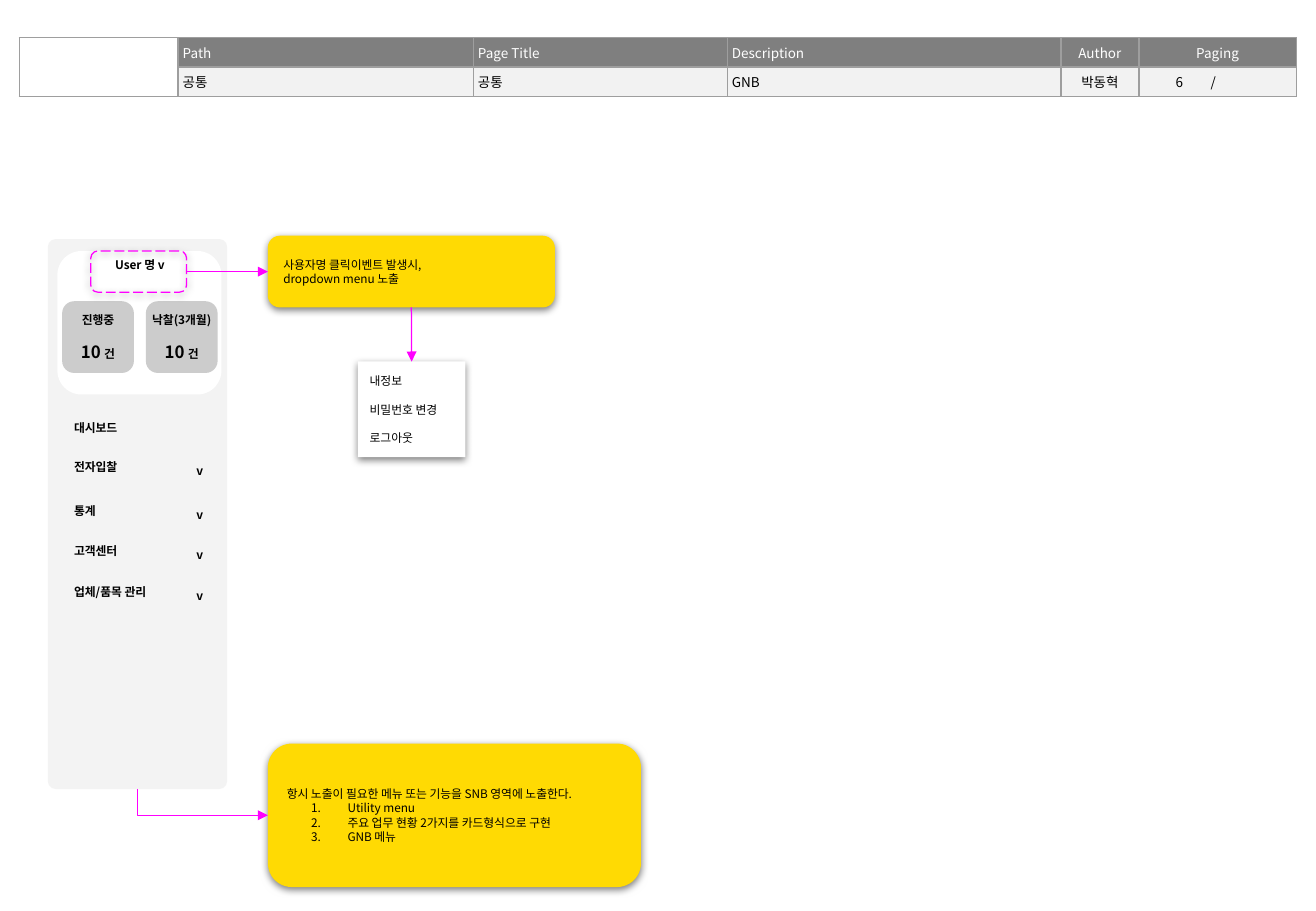
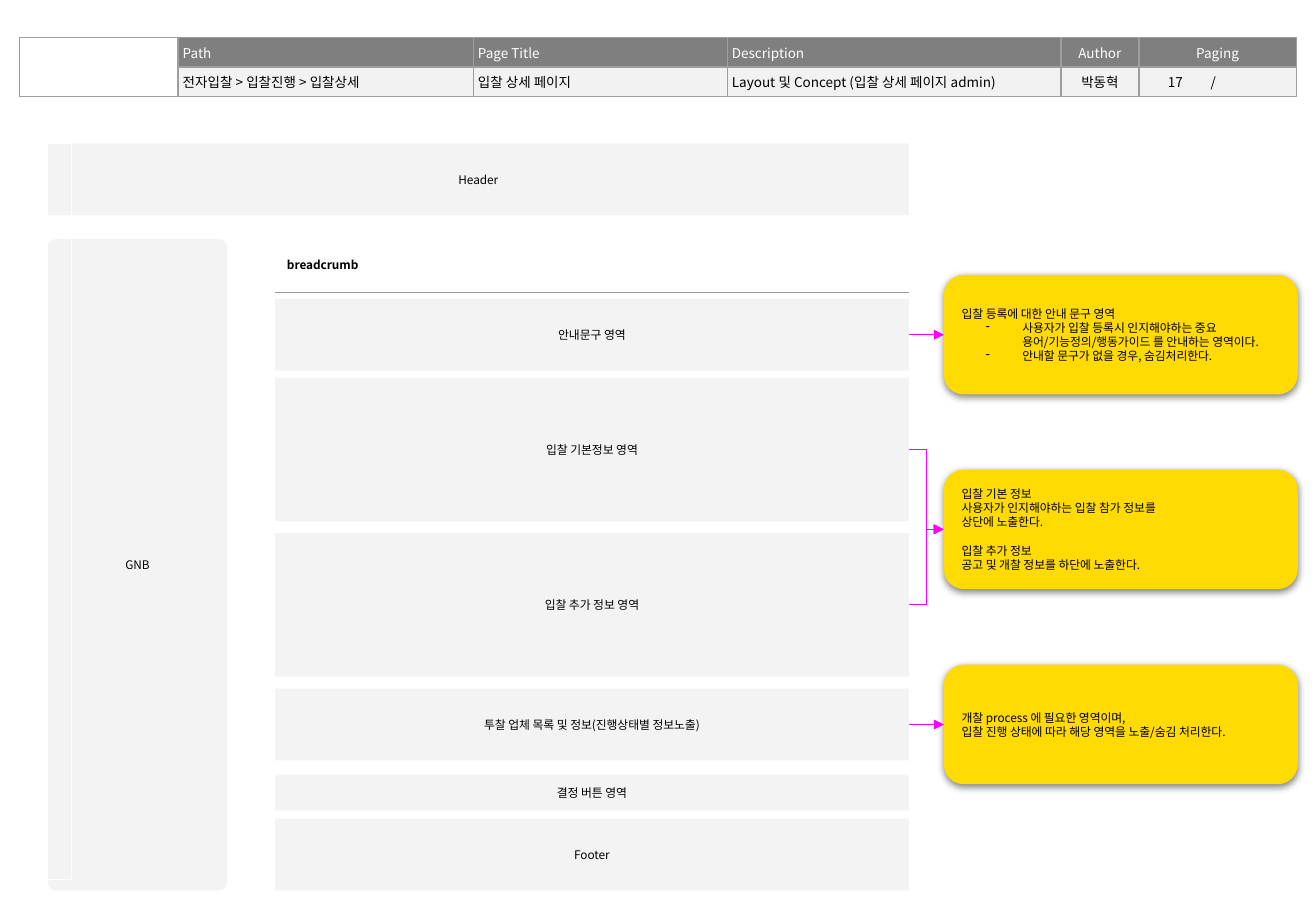
from collections import namedtuple

from lxml.etree import SubElement
from pptx import Presentation
from pptx.dml.color import RGBColor
from pptx.enum.dml import MSO_LINE
from pptx.enum.shapes import MSO_CONNECTOR, MSO_SHAPE
from pptx.enum.text import MSO_ANCHOR, PP_ALIGN
from pptx.oxml.ns import qn
from pptx.util import Cm, Pt

BLACK = RGBColor(0x00, 0x00, 0x00)
WHITE = RGBColor(0xFF, 0xFF, 0xFF)
PANEL = RGBColor(0xF3, 0xF3, 0xF3)
CARD = RGBColor(0xCC, 0xCC, 0xCC)
YELLOW = RGBColor(0xFF, 0xDA, 0x03)
MAGENTA = RGBColor(0xFF, 0x00, 0xFF)
RULE = RGBColor(0x99, 0x99, 0x99)
HEAD_FILL = RGBColor(0x7F, 0x7F, 0x7F)
BODY_FILL = RGBColor(0xF2, 0xF2, 0xF2)
BORDER = RGBColor(0x9E, 0x9E, 0x9E)

TOP, LEFT, BOTTOM, RIGHT = range(4)
SIDEBAR_CORNER, CORNER = 0.044, 0.167
COLUMN_WIDTHS = (3.32, 6.17, 5.31, 6.98, 1.63, 1.02, 1.07, 1.2)
HEADINGS = ("", "Path", "Page Title", "Description", "Author", "Paging", "", "")

Line = namedtuple("Line", "text bullet before", defaults=(None, 0))


class Storyboard:
    """Holds the shared style and the slide being drawn."""

    font_name = "Noto Sans CJK KR"
    text_size = 7
    table_size = 8

    def __init__(self):
        """Open an empty presentation."""
        self.presentation = Presentation()
        self.presentation.slide_width = Cm(27.51)
        self.presentation.slide_height = Cm(19.05)
        self.slide = None

    def new_slide(self, page_path, title, description, number):
        """Start a slide with its information table."""
        self.slide = self.presentation.slides.add_slide(self.presentation.slide_layouts[6])
        self.header_table(("", page_path, title, description, "박동혁", number, "/", ""))

    def format_run(self, run, size, color=BLACK, bold=False):
        """Apply the shared font to a run."""
        font = run.font
        font.name, font.size, font.bold = self.font_name, Pt(size), bold
        font.color.rgb = color
        SubElement(run.font._element, qn("a:ea"), typeface=self.font_name)

    def set_lines(self, shape, lines, align=PP_ALIGN.LEFT, bold=False,
                  anchor=MSO_ANCHOR.MIDDLE, inset=0.25, hanging=False):
        """Fill a shape with paragraphs."""
        frame = shape.text_frame
        frame.word_wrap = True
        frame.vertical_anchor = anchor
        frame.margin_left = frame.margin_right = Cm(inset)
        frame.margin_top = frame.margin_bottom = Cm(inset)
        for index, item in enumerate(lines):
            line = Line(item) if isinstance(item, str) else item
            paragraph = frame.add_paragraph() if index else frame.paragraphs[0]
            paragraph.text = line.text
            paragraph.alignment = align
            if line.bullet:
                self.bullet(paragraph, line.bullet)
            elif hanging:
                self.indent(paragraph, 0.25, -0.25)
            if line.before:
                paragraph.space_before = Pt(line.before)
            for run in paragraph.runs:
                self.format_run(run, self.text_size, bold=bold)

    def indent(self, paragraph, margin, first):
        """Set the margin and first-line indent of a paragraph."""
        properties = paragraph._p.get_or_add_pPr()
        properties.set("marL", str(Cm(margin)))
        properties.set("indent", str(Cm(first)))
        return properties

    def bullet(self, paragraph, mark):
        """Give a paragraph a number or a character bullet."""
        properties = self.indent(paragraph, 1.27, -0.76)
        color = SubElement(properties, qn("a:buClr"))
        SubElement(color, qn("a:srgbClr"), val=str(BLACK))
        if mark == "1.":
            SubElement(properties, qn("a:buAutoNum"), type="arabicPeriod")
        else:
            SubElement(properties, qn("a:buChar"), char=mark)

    def box(self, left, top, width, height, fill=None, corner=0, line=None):
        """Add a rectangle, rounded when a corner is given."""
        kind = MSO_SHAPE.ROUNDED_RECTANGLE if corner else MSO_SHAPE.RECTANGLE
        shape = self.slide.shapes.add_shape(kind, Cm(left), Cm(top), Cm(width), Cm(height))
        shape.shadow.inherit = False
        if corner:
            shape.adjustments[0] = corner
        if fill is None:
            shape.fill.background()
        else:
            shape.fill.solid()
            shape.fill.fore_color.rgb = fill
        if line is None:
            shape.line.fill.background()
        else:
            shape.line.color.rgb = line
            shape.line.width = Pt(0.75)
        return shape

    def cast_shadow(self, shape):
        """Add the soft shadow below a shape."""
        effects = shape._element.spPr.find(qn("a:effectLst"))
        shadow = SubElement(effects, qn("a:outerShdw"), blurRad=str(Pt(4.5)),
                            dist=str(Pt(1.5)), dir="5400000", algn="bl", rotWithShape="0")
        color = SubElement(shadow, qn("a:srgbClr"), val=str(BLACK))
        SubElement(color, qn("a:alpha"), val="50000")

    def panel(self, left, top, width, height, text, corner=0):
        """Add a grey page area with a centred name."""
        shape = self.box(left, top, width, height, PANEL, corner)
        self.set_lines(shape, [text], PP_ALIGN.CENTER)
        return shape

    def callout(self, left, top, width, height, lines, fill=YELLOW, corner=CORNER):
        """Add a raised note."""
        shape = self.box(left, top, width, height, fill, corner)
        self.cast_shadow(shape)
        self.set_lines(shape, lines)
        return shape

    def label(self, left, top, width, text, align=PP_ALIGN.LEFT, anchor=MSO_ANCHOR.TOP):
        """Add a bold one-line text box."""
        shape = self.slide.shapes.add_textbox(Cm(left), Cm(top), Cm(width), Cm(0.75))
        self.set_lines(shape, [text], align, True, anchor, hanging=True)

    def count_card(self, left, name, count):
        """Add a grey card with a name and a count."""
        shape = self.box(left, 6.3, 1.5, 1.5, CARD, CORNER)
        self.set_lines(shape, [name, Line(count, before=8.5)], PP_ALIGN.CENTER, True,
                       inset=0, hanging=True)
        paragraph = shape.text_frame.paragraphs[-1]
        paragraph.runs[0].font.size = Pt(10)
        for text, size in ((" ", 9), ("건", self.text_size)):
            run = paragraph.add_run()
            run.text = text
            self.format_run(run, size, bold=True)

    def connector(self, kind, color, ends=(0, 0, 0, 0)):
        """Add a connector without a shadow."""
        line = self.slide.shapes.add_connector(kind, *(Cm(value) for value in ends))
        line.line.color.rgb = color
        line.line.width = Pt(0.75)
        SubElement(line._element.spPr, qn("a:effectLst"))
        return line

    def arrow(self, source, source_side, target, target_side, kind=MSO_CONNECTOR.STRAIGHT):
        """Join two shapes with an arrow."""
        line = self.connector(kind, MAGENTA)
        line.begin_connect(source, source_side)
        line.end_connect(target, target_side)
        SubElement(line.line._get_or_add_ln(), qn("a:tailEnd"), type="triangle")

    def corner_arrow(self, target, target_side, source, source_side):
        """Join two shapes with a one-bend arrow that points at the target."""
        line = self.connector(MSO_CONNECTOR.ELBOW, MAGENTA)
        line._element.spPr.find(qn("a:prstGeom")).set("prst", "bentConnector2")
        line.begin_connect(target, target_side)
        line.end_connect(source, source_side)
        SubElement(line.line._get_or_add_ln(), qn("a:headEnd"), type="triangle")

    def cell_borders(self, cell, sides):
        """Draw the given borders of a cell and clear the others."""
        properties = cell._tc.get_or_add_tcPr()
        for index, side in enumerate("LRTB"):
            border = properties.makeelement(qn(f"a:ln{side}"), {"w": str(Pt(0.75))})
            properties.insert(index, border)
            if side in sides:
                fill = SubElement(border, qn("a:solidFill"))
                SubElement(fill, qn("a:srgbClr"), val=str(BORDER))
            else:
                SubElement(border, qn("a:noFill"))

    def header_table(self, values):
        """Add the page information table."""
        frame = self.slide.shapes.add_table(2, len(values), Cm(0.4), Cm(0.79),
                                            Cm(sum(COLUMN_WIDTHS)), Cm(1.2))
        table = frame.table
        table.first_row = table.horz_banding = False
        for column, width in zip(table.columns, COLUMN_WIDTHS):
            column.width = Cm(width)
        table.cell(0, 0).merge(table.cell(1, 0))
        table.cell(0, 5).merge(table.cell(0, 7))
        styles = ((HEADINGS, HEAD_FILL, WHITE), (values, BODY_FILL, BLACK))
        for row, (texts, fill, color) in enumerate(styles):
            table.rows[row].height = Cm(0.6)
            for column, text in enumerate(texts):
                self.table_cell(table.cell(row, column), row, column, text, fill, color)

    def table_cell(self, cell, row, column, text, fill, color):
        """Fill and style one cell of the information table."""
        cell.vertical_anchor = MSO_ANCHOR.MIDDLE
        cell.margin_left = cell.margin_right = Cm(0.05 if column == 6 else 0.1)
        cell.margin_top = cell.margin_bottom = Cm(0.1)
        paragraph = cell.text_frame.paragraphs[0]
        if text:
            paragraph.text = text
            self.format_run(paragraph.runs[0], self.table_size, color)
        else:
            SubElement(paragraph._p, qn("a:endParaRPr"), sz=str(self.table_size * 100))
        if column >= 4:
            paragraph.alignment = PP_ALIGN.RIGHT if (row, column) == (1, 5) else PP_ALIGN.CENTER
        if column:
            cell.fill.solid()
            cell.fill.fore_color.rgb = fill
        else:
            cell.fill.background()
        page_sides = {5: "LTB", 6: "TB", 7: "RTB"}
        self.cell_borders(cell, page_sides.get(column, "LRTB") if row else "LRTB")


def draw_navigation(board):
    """Draw the side navigation slide."""
    board.new_slide("공통", "공통", "GNB", "6")
    sidebar = board.box(1, 5, 3.75, 11.5, PANEL, SIDEBAR_CORNER)
    board.box(1.2, 5.25, 3.43, 3, WHITE, CORNER)
    menu = (("대시보드", 8.64), ("전자입찰", 9.47), ("통계", 10.39),
            ("고객센터", 11.23), ("업체/품목 관리", 12.08))
    for index, (name, top) in enumerate(menu):
        board.label(1.3, top, 3.25, name)
        if index:
            board.label(3.8, top, 0.75, "v", PP_ALIGN.CENTER, MSO_ANCHOR.MIDDLE)
    board.label(1.3, 5.25, 3.25, "User 명 v", PP_ALIGN.CENTER)
    board.count_card(1.3, "진행중", "10")
    board.count_card(3.05, "낙찰(3개월)", "10")
    sidebar_note = board.callout(5.6, 15.55, 7.8, 3, [
        "항시 노출이 필요한 메뉴 또는 기능을 SNB 영역에 노출한다.",
        Line("Utility menu", "1."),
        Line("주요 업무 현황 2가지를 카드형식으로 구현", "1."),
        Line("GNB 메뉴", "1.")])
    dropdown = board.callout(7.48, 7.56, 2.25, 2, [
        "내정보", Line("비밀번호 변경", before=8.5), Line("로그아웃", before=8.5)], WHITE, 0)
    user_frame = board.box(1.9, 5.25, 2, 0.86, corner=CORNER, line=MAGENTA)
    user_frame.line.dash_style = MSO_LINE.LONG_DASH
    board.cast_shadow(user_frame)
    user_note = board.callout(5.6, 4.93, 6, 1.5, [
        "사용자명 클릭이벤트 발생시,", "dropdown menu 노출"])
    board.arrow(user_frame, RIGHT, user_note, LEFT)
    board.arrow(user_note, BOTTOM, dropdown, TOP)
    board.corner_arrow(sidebar_note, LEFT, sidebar, BOTTOM)


def draw_bid_detail(board):
    """Draw the bid detail layout slide."""
    board.new_slide("전자입찰 > 입찰진행 > 입찰상세", "입찰 상세 페이지",
                    "Layout 및 Concept (입찰 상세 페이지 admin)", "17")
    board.panel(1, 3, 18, 1.5, "Header")
    board.panel(1, 5, 3.75, 13.62, "GNB", SIDEBAR_CORNER)
    board.box(1, 3, 0.5, 15.4, line=WHITE)
    board.label(5.75, 5.25, 6, "breadcrumb")
    board.connector(MSO_CONNECTOR.STRAIGHT, RULE, (5.75, 6.12, 19, 6.12))
    areas = (("안내문구 영역", 6.25, 1.5), ("입찰 기본정보 영역", 7.9, 3),
             ("입찰 추가 정보 영역", 11.15, 3),
             ("투찰 업체 목록 및 정보(진행상태별 정보노출)", 14.4, 1.5),
             ("결정 버튼 영역", 16.2, 0.75), ("Footer", 17.12, 1.5))
    guide, basic, extra, bidders, *_ = [
        board.panel(5.75, top, 13.25, height, name) for name, top, height in areas]
    notes = (
        (5.75, ["입찰 등록에 대한 안내 문구 영역",
                Line("사용자가 입찰 등록시 인지해야하는 중요 용어/기능정의/행동가이드 를 안내하는 영역이다.", "-"),
                Line("안내할 문구가 없을 경우, 숨김처리한다.", "-")]),
        (9.82, ["입찰 기본 정보", "사용자가 인지해야하는 입찰 참가 정보를", "상단에 노출한다.",
                Line("입찰 추가 정보", before=8.5), "공고 및 개찰 정보를 하단에 노출한다."]),
        (13.9, ["개찰 process 에 필요한 영역이며,",
                "입찰 진행 상태에 따라 해당 영역을 노출/숨김 처리한다."]))
    guide_note, info_note, bidders_note = [
        board.callout(19.73, top, 7.4, 2.5, lines) for top, lines in notes]
    board.arrow(guide, RIGHT, guide_note, LEFT)
    for area in (basic, extra):
        board.arrow(area, RIGHT, info_note, LEFT, MSO_CONNECTOR.ELBOW)
    board.arrow(bidders, RIGHT, bidders_note, LEFT)


def main():
    """Build and save the presentation."""
    board = Storyboard()
    draw_navigation(board)
    draw_bid_detail(board)
    board.presentation.save("out.pptx")


if __name__ == "__main__":
    main()
